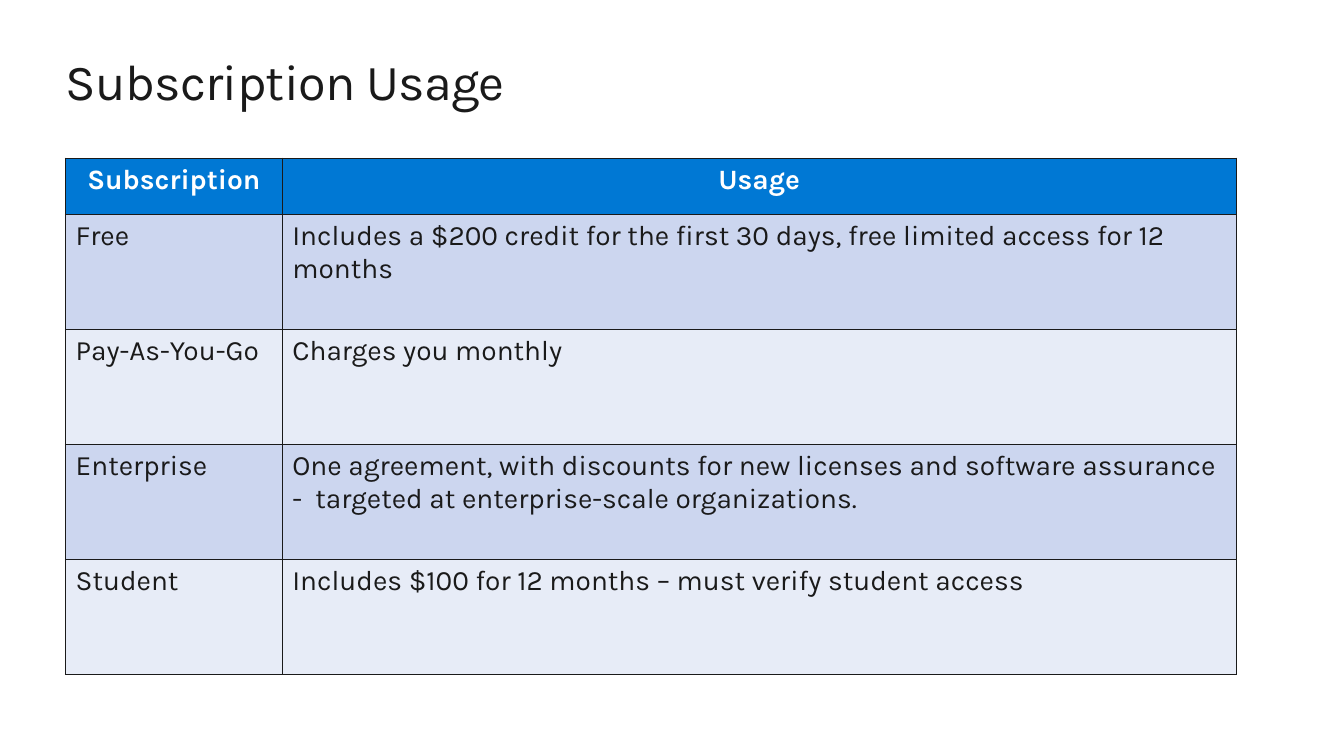
"""Build the Subscription Usage slide: a title above a table of plans."""
from lxml import etree
from pptx import Presentation
from pptx.dml.color import RGBColor
from pptx.enum import text
from pptx.oxml import ns
from pptx.util import Inches, Pt

COLORS = {"ink": "1A1A1A", "white": "FFFFFF", "head": "0078D4",
          "dark": "CCD6EF", "light": "E7ECF7"}
ROWS = [
    ("Subscription", "Usage"),
    ("Free", "Includes a $200 credit for the first 30 days, free limited access for 12 months"),
    ("Pay-As-You-Go", "Charges you monthly"),
    ("Enterprise", "One agreement, with discounts for new licenses and software assurance "
                   "-  targeted at enterprise-scale organizations."),
    ("Student", "Includes $100 for 12 months – must verify student access"),
]
WIDTHS = [2.15, 9.46]
HEIGHTS = [0.56] + [1.14] * 4


def style(run, size, color, bold=False):
    run.font.name = "Karla"
    run.font.size = Pt(size)
    run.font.bold = bold
    run.font.color.rgb = RGBColor.from_string(COLORS[color])


def outline(cell):
    props = cell._tc.get_or_add_tcPr()
    for place, side in enumerate(("lnL", "lnR", "lnT", "lnB")):
        line = etree.Element(ns.qn("a:" + side), w=str(Pt(1)))
        fill = etree.SubElement(line, ns.qn("a:solidFill"))
        etree.SubElement(fill, ns.qn("a:srgbClr"), val=COLORS["ink"])
        props.insert(place, line)


deck = Presentation()
deck.slide_width = Inches(13.33)
deck.slide_height = Inches(7.5)
slide = deck.slides.add_slide(deck.slide_layouts[6])

title = slide.shapes.add_textbox(Inches(0.65), Inches(0.5), Inches(12.05), Inches(0.61))
frame = title.text_frame
frame.word_wrap = True
frame.margin_left = frame.margin_right = frame.margin_top = frame.margin_bottom = 0
frame.text = "Subscription Usage"
run = frame.paragraphs[0].runs[0]
style(run, 36, "ink")
run.font._element.set("spc", "-50")

table = slide.shapes.add_table(len(ROWS), len(WIDTHS), Inches(0.65), Inches(1.57),
                               Inches(sum(WIDTHS)), Inches(sum(HEIGHTS))).table
for col, width in zip(table.columns, WIDTHS):
    col.width = Inches(width)
for row, height in zip(table.rows, HEIGHTS):
    row.height = Inches(height)

for r, words in enumerate(ROWS):
    head = r == 0
    shade = "head" if head else ("light", "dark")[r % 2]
    for c, word in enumerate(words):
        cell = table.cell(r, c)
        cell.fill.solid()
        cell.fill.fore_color.rgb = RGBColor.from_string(COLORS[shade])
        outline(cell)
        cell.text_frame.text = word
        para = cell.text_frame.paragraphs[0]
        para.alignment = text.PP_ALIGN.CENTER if head else text.PP_ALIGN.LEFT
        style(para.runs[0], 20, "white" if head else "ink", head)

deck.save("out.pptx")
